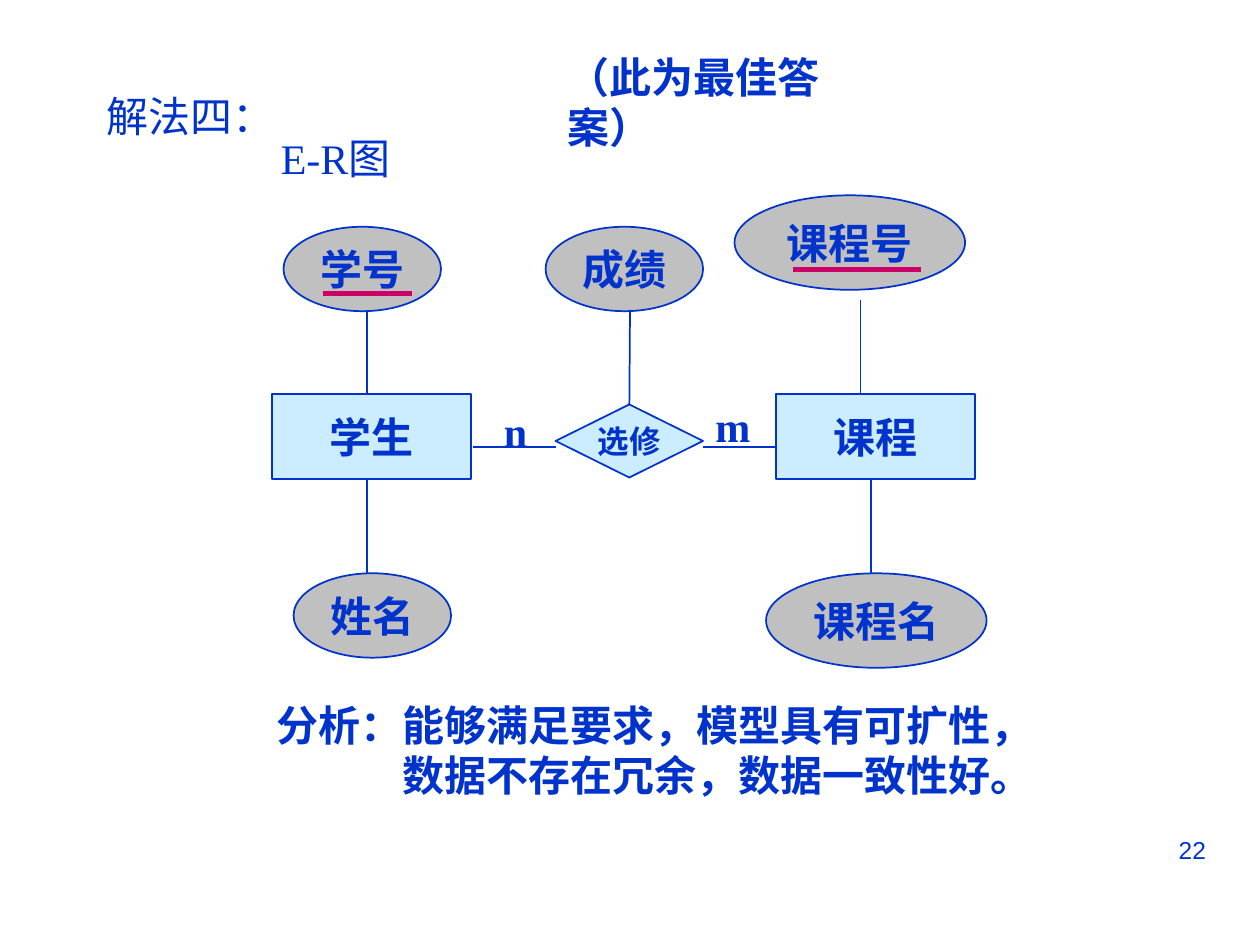
from lxml import etree
from pptx import Presentation
from pptx.dml.color import RGBColor
from pptx.enum import shapes, text
from pptx.oxml.ns import qn
from pptx.util import Inches, Pt

COLORS = {"ink": "0033CC", "entity": "CCECFF", "attribute": "C0C0C0", "key": "CC0066"}
SERIF, SANS = "Times New Roman", "Arial"
ENTITY, SMALL, LARGE, WIDE = (1.58, 0.67), (1.25, 0.67), (1.83, 0.75), (1.75, 0.75)

# text, (left, top, width, height), format
LABELS = [
    ("22", (7.17, 6.58, 2.5, 0.52),
     dict(size=14, font=SANS, bold=False, align=text.PP_ALIGN.RIGHT, wrap=True)),
    ("解法四：", (0.75, 0.67, 1.53, 0.5), dict(bold=False)),
    ("E-R图", (2.13, 1, 1.15, 0.5), dict(bold=False)),
    ("（此为最佳答案）", (4.41, 0.36, 2.86, 0.5), {}),
    ("分析：能够满足要求，模型具有可扩性，\n\t数据不存在冗余，数据一致性好。",
     (2.1, 5.5, 6.2, 0.9), dict(tab=1)),
    ("n", (3.9, 3.17, 0.38, 0.5), {}),
    ("m", (5.58, 3.13, 0.37, 0.5), dict(wrap=True)),
]

# text, left, top, (width, height)
ENTITIES = [("学生", 2.16, 3.13, ENTITY), ("课程", 6.16, 3.13, ENTITY)]
ATTRIBUTES = [
    ("学号", 2.25, 1.8, SMALL),
    ("成绩", 4.33, 1.8, SMALL),
    ("课程号", 5.83, 1.55, LARGE),
    ("姓名", 2.33, 4.55, SMALL),
    ("课程名", 6.08, 4.55, WIDE),
]
RELATION = ("选修", 4.41, 3.21, (1.17, 0.58))

# x1, y1, x2, y2
LINKS = [
    (2.91, 3.13, 2.91, 2.46),
    (2.91, 3.8, 2.91, 4.55),
    (6.83, 2.38, 6.83, 3.13),
    (6.91, 3.8, 6.91, 4.55),
    (4.41, 3.55, 3.75, 3.55),
    (5.58, 3.55, 6.16, 3.55),
]
GRADE_LINK = (5, 3.21, 5, 2.46)
KEY_MARKS = [(2.56, 2.33, 3.27, 2.33), (6.29, 2.14, 7.31, 2.14)]


def rgb(name):
    return RGBColor.from_string(COLORS[name])


def write(sp, content, size=24, font=SERIF, bold=True, align=text.PP_ALIGN.LEFT,
          anchor=text.MSO_ANCHOR.TOP, wrap=False, tab=None):
    """Fill a shape with one paragraph per line; tab is a tab stop in inches."""
    tf = sp.text_frame
    tf.word_wrap = wrap
    tf.vertical_anchor = anchor
    for i, line in enumerate(content.split("\n")):
        p = tf.add_paragraph() if i else tf.paragraphs[0]
        p.alignment = align
        if tab:
            stops = etree.SubElement(p._p.get_or_add_pPr(), qn("a:tabLst"))
            etree.SubElement(stops, qn("a:tab"), pos=str(Inches(tab)), algn="l")
        r = p.add_run()
        r.text = line
        r.font.size, r.font.name, r.font.bold = Pt(size), font, bold
        r.font.color.rgb = rgb("ink")


def add_node(s, kind, fill, node, **fmt):
    content, left, top, extent = node
    sp = s.shapes.add_shape(kind, *map(Inches, (left, top, *extent)))
    sp.shadow.inherit = False
    sp.fill.solid()
    sp.fill.fore_color.rgb = rgb(fill)
    sp.line.color.rgb = rgb("ink")
    sp.line.width = Pt(1)
    write(sp, content, align=text.PP_ALIGN.CENTER, anchor=text.MSO_ANCHOR.MIDDLE, **fmt)
    return sp


def add_line(s, ends, color="ink", width=1):
    line = s.shapes.add_connector(shapes.MSO_CONNECTOR.STRAIGHT, *map(Inches, ends))
    line.line.color.rgb = rgb(color)
    line.line.width = Pt(width)
    etree.SubElement(line._element.spPr, qn("a:effectLst"))
    return line


def main():
    prs = Presentation()
    prs.slide_width, prs.slide_height = Inches(10), Inches(7.5)
    s = prs.slides.add_slide(prs.slide_layouts[6])

    for node in ENTITIES:
        add_node(s, shapes.MSO_SHAPE.RECTANGLE, "entity", node)
    for node in ATTRIBUTES:
        add_node(s, shapes.MSO_SHAPE.OVAL, "attribute", node)
    relation = add_node(s, shapes.MSO_SHAPE.DIAMOND, "entity", RELATION, size=18, font=SANS)

    for ends in LINKS:
        add_line(s, ends)
    add_line(s, GRADE_LINK).begin_connect(relation, 0)
    for ends in KEY_MARKS:
        add_line(s, ends, "key", 2.5)

    for content, box, fmt in LABELS:
        write(s.shapes.add_textbox(*map(Inches, box)), content, **fmt)
    prs.save("out.pptx")


if __name__ == "__main__":
    main()
